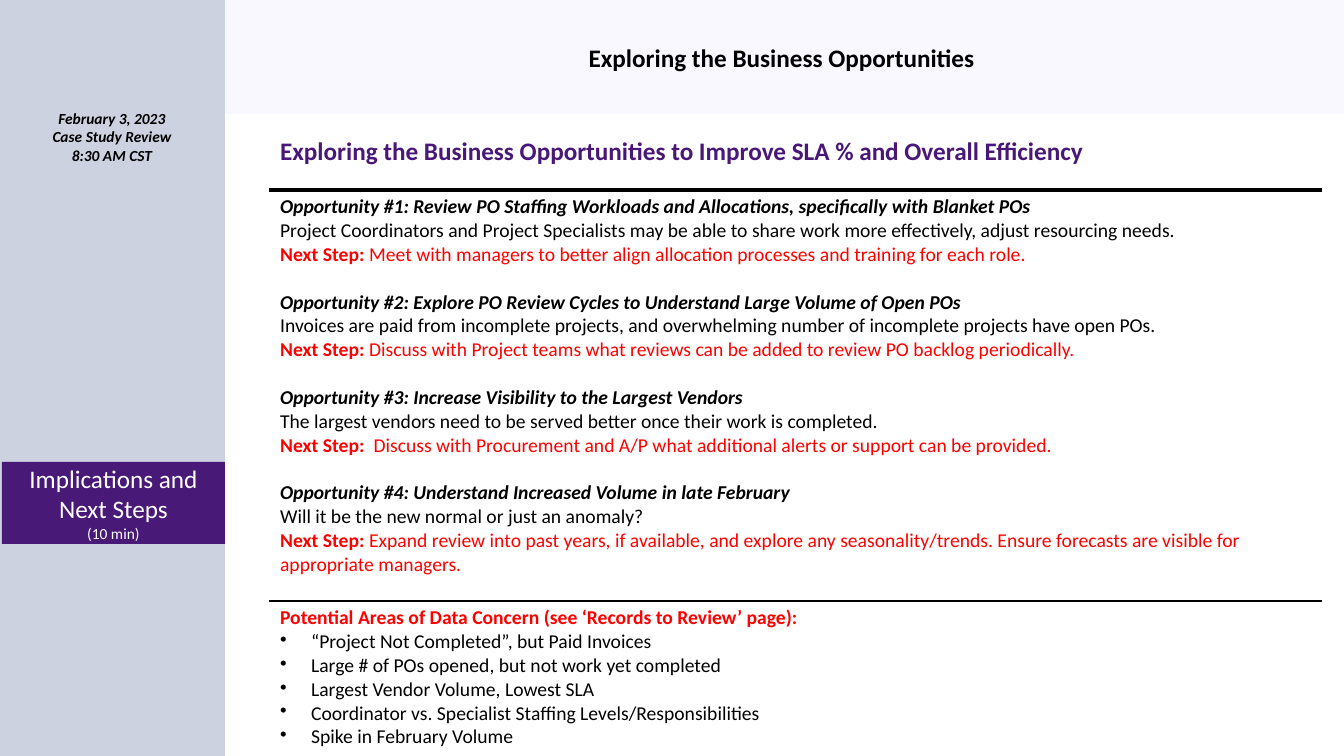
from lxml import etree
from pptx import Presentation
from pptx import util as u
from pptx.dml.color import RGBColor
from pptx.enum import shapes, text
from pptx.oxml import ns

PX = 914400 / 100.8
COLORS = {
    "black": "000000", "white": "FFFFFF", "red": "FF0000", "purple": "491978",
    "title": "491777", "navy": "002060", "lavender": "E4DBFF",
}


def px(*lengths):
    return [u.Emu(round(length * PX)) for length in lengths]


def write(frame, content, size, color, bold=False, italic=False, align=None, space=0):
    """Fill the empty first paragraph of a frame, or add one below the others."""
    para = frame.paragraphs[0]
    if para.runs:
        para = frame.add_paragraph()
    para.alignment = align
    if space:
        para.space_before = u.Pt(space)
    para.add_run().text = content
    para.font.name = "Calibri"
    para.font.size = u.Pt(size)
    para.font.bold, para.font.italic = bold, italic
    para.font.color.rgb = RGBColor.from_string(COLORS[color])
    return para


deck = Presentation()
deck.slide_width, deck.slide_height = px(1344, 756)
page = deck.slides.add_slide(deck.slide_layouts[6])
CENTER = text.PP_ALIGN.CENTER

# Sidebar, section label and header band
panels = []
for place, color, alpha in [
    ((0, 0, 225, 756), "navy", 20),
    ((2, 462, 223, 82), "purple", 100),
    ((225, 0, 1119, 114), "lavender", 20),
]:
    panel = page.shapes.add_shape(shapes.MSO_SHAPE.RECTANGLE, *px(*place))
    panel.shadow.inherit = False
    panel.line.fill.background()
    panel.fill.solid()
    panel.fill.fore_color.rgb = RGBColor.from_string(COLORS[color])
    if alpha < 100:
        tone = panel.fill._xPr.find(".//" + ns.qn("a:srgbClr"))
        etree.SubElement(tone, ns.qn("a:alpha"), val=str(alpha * 1000))
    panel.text_frame.word_wrap = True
    panel.text_frame.vertical_anchor = text.MSO_ANCHOR.MIDDLE
    panels.append(panel)

sidebar, section, header = panels
write(section.text_frame, "Implications and Next Steps", 18, "white", align=CENTER)
write(section.text_frame, "(10 min)", 11, "white", align=CENTER)
write(header.text_frame, "Exploring the Business Opportunities ", 18, "black", bold=True, align=CENTER)

# Meeting date
meeting = page.shapes.add_textbox(*px(31, 104, 162, 79))
meeting.text_frame.word_wrap = False
for line in ["February 3, 2023", "Case Study Review", "8:30 AM CST"]:
    write(meeting.text_frame, line, 11, "black", bold=True, italic=True, align=CENTER)

# Table: heading, opportunities, data concerns
row_heights = px(59, 411, 156)
table = page.shapes.add_table(3, 1, *px(270, 131, 1051, 626)).table
table.first_row = table.horz_banding = False
rules = [("white", 1), ("black", 3), ("black", 1.5), ("black", 1.5)]
cells = []
for index, height in enumerate(row_heights):
    table.rows[index].height = height
    cell = table.cell(index, 0)
    cell.fill.background()
    borders = {"lnL": ("white", 1), "lnR": ("white", 1), "lnT": rules[index], "lnB": rules[index + 1]}
    for order, (side, (color, width)) in enumerate(borders.items()):
        border = etree.Element(ns.qn("a:" + side), w=str(u.Pt(width)))
        fill = etree.SubElement(border, ns.qn("a:solidFill"))
        etree.SubElement(fill, ns.qn("a:srgbClr"), val=COLORS[color])
        cell._tc.get_or_add_tcPr().insert(order, border)
    cells.append(cell.text_frame)

heading, opportunities, concerns = cells
write(heading, "Exploring the Business Opportunities to Improve SLA % and Overall Efficiency", 18, "title", bold=True)

# Opportunities: title, finding, next step
for number, (title, finding, label, step) in enumerate([
    ("Review PO Staffing Workloads and Allocations, specifically with Blanket POs",
     "Project Coordinators and Project Specialists may be able to share work more effectively, adjust resourcing needs.",
     "Next Step: ",
     "Meet with managers to better align allocation processes and training for each role."),
    ("Explore PO Review Cycles to Understand Large Volume of Open POs",
     "Invoices are paid from incomplete projects, and overwhelming number of incomplete projects have open POs.",
     "Next Step: ",
     "Discuss with Project teams what reviews can be added to review PO backlog periodically."),
    ("Increase Visibility to the Largest Vendors",
     "The largest vendors need to be served better once their work is completed.",
     "Next Step:  ",
     "Discuss with Procurement and A/P what additional alerts or support can be provided."),
    ("Understand Increased Volume in late February",
     "Will it be the new normal or just an anomaly?",
     "Next Step: ",
     "Expand review into past years, if available, and explore any seasonality/trends. "
     "Ensure forecasts are visible for appropriate managers."),
], start=1):
    write(opportunities, f"Opportunity #{number}: {title}", 14, "black", bold=True, italic=True,
          space=17 if number > 1 else 0)
    write(opportunities, finding, 14, "black")
    para = write(opportunities, label, 14, "red")
    para.runs[0].font.bold = True
    para.add_run().text = step

# Data concerns
write(concerns, "Potential Areas of Data Concern (see ‘Records to Review’ page):", 14, "red", bold=True)
indent = px(31)[0]
for concern in [
    "“Project Not Completed”, but Paid Invoices",
    "Large # of POs opened, but not work yet completed",
    "Largest Vendor Volume, Lowest SLA",
    "Coordinator vs. Specialist Staffing Levels/Responsibilities",
    "Spike in February Volume",
]:
    para = write(concerns, concern, 14, "black")
    props = para._p.get_or_add_pPr()
    props.set("marL", str(indent))
    props.set("indent", str(-indent))
    bullet = etree.Element(ns.qn("a:buChar"), char="•")
    props.find(ns.qn("a:defRPr")).addprevious(bullet)

deck.save("out.pptx")
